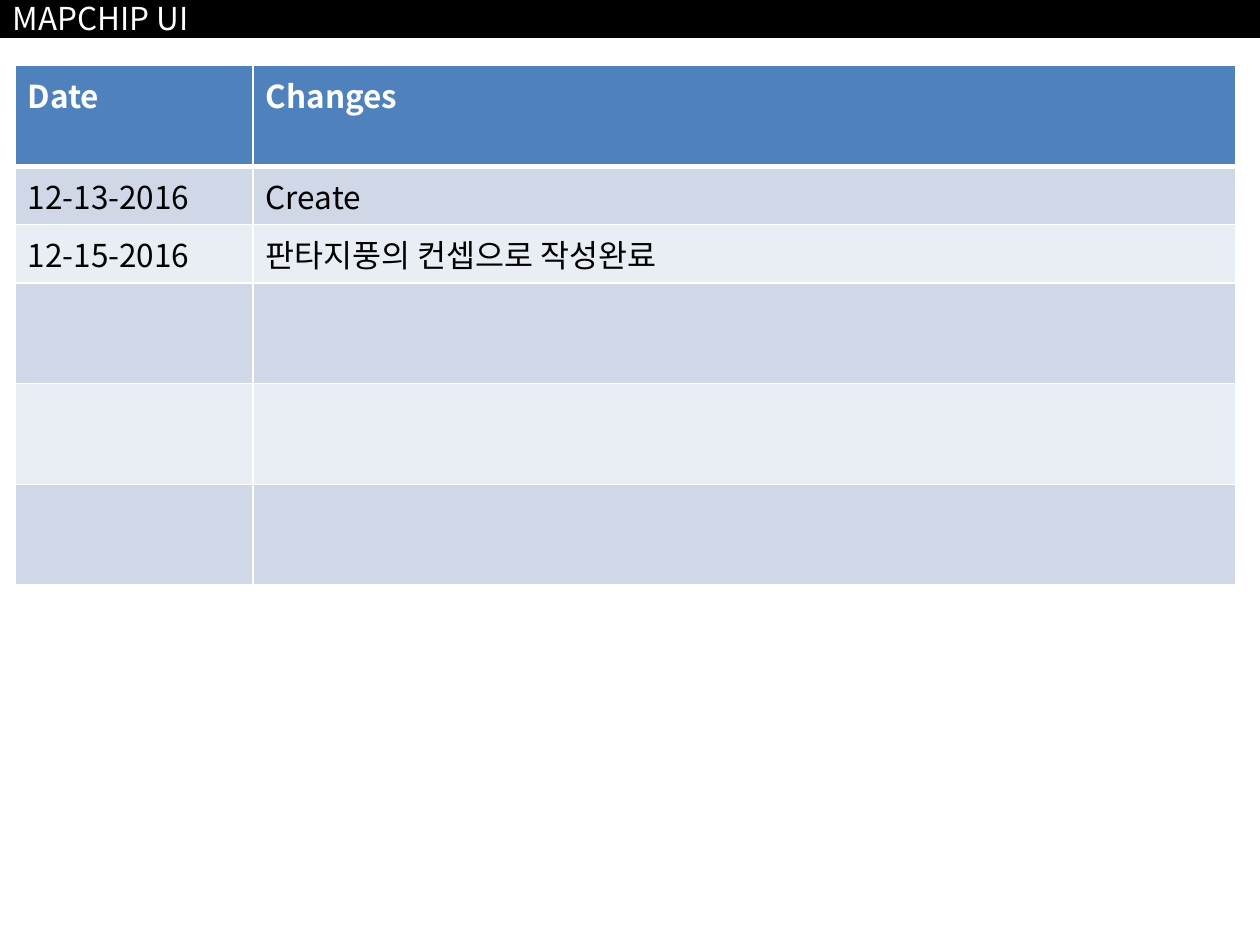
from lxml.etree import SubElement
from pptx import Presentation
from pptx.dml.color import RGBColor
from pptx.enum.text import MSO_ANCHOR, MSO_AUTO_SIZE, PP_ALIGN
from pptx.oxml.ns import qn
from pptx.util import Inches, Pt

FONT = "Noto Sans CJK KR"
BLACK = RGBColor(0x00, 0x00, 0x00)
WHITE = RGBColor(0xFF, 0xFF, 0xFF)
HEADER_BLUE = RGBColor(0x4F, 0x81, 0xBD)
BANDS = [RGBColor(0xD0, 0xD8, 0xE8), RGBColor(0xE9, 0xED, 0xF4)]

COLUMN_WIDTHS = [1.89, 7.8]
ROW_HEIGHTS = [0.8, 0.38, 0.37, 0.8, 0.8, 0.8]
CHANGE_LOG = [
    ("Date", "Changes"),
    ("12-13-2016", "Create"),
    ("12-15-2016", "판타지풍의 컨셉으로 작성완료"),
    ("", ""),
    ("", ""),
    ("", ""),
]


def add_span(para, text, color, bold=False):
    span = para.add_run()
    span.text = text
    span.font.size = Pt(18)
    span.font.name = FONT
    span.font.bold = bold
    span.font.color.rgb = color
    SubElement(span.font._element, qn("a:ea"), typeface=FONT)


def set_borders(cell, bottom_width):
    properties = cell._tc.get_or_add_tcPr()
    widths = {"lnL": 1, "lnR": 1, "lnT": 1, "lnB": bottom_width}
    for side, width in widths.items():
        line = SubElement(properties, qn(f"a:{side}"), w=str(Pt(width)))
        fill = SubElement(line, qn("a:solidFill"))
        SubElement(fill, qn("a:srgbClr"), val=str(WHITE))


def place_title_bar(page, left, top, width, height):
    bar = page.shapes.title
    bar.left, bar.top, bar.width, bar.height = left, top, width, height
    bar.fill.solid()
    bar.fill.fore_color.rgb = BLACK
    bar.line.color.rgb = BLACK
    bar.line.width = Pt(2)
    frame = bar.text_frame
    frame.auto_size = MSO_AUTO_SIZE.NONE
    frame.vertical_anchor = MSO_ANCHOR.MIDDLE
    para = frame.paragraphs[0]
    para.alignment = PP_ALIGN.LEFT
    add_span(para, "MAPCHIP UI", WHITE)


def place_change_table(page, left, top, width, height):
    table = page.shapes.add_table(
        len(ROW_HEIGHTS), len(COLUMN_WIDTHS), left, top, width, height
    ).table
    for column, size in zip(table.columns, COLUMN_WIDTHS):
        column.width = Inches(size)
    for row, size in zip(table.rows, ROW_HEIGHTS):
        row.height = Inches(size)

    for row_number, entries in enumerate(CHANGE_LOG):
        header = row_number == 0
        for column_number, text in enumerate(entries):
            cell = table.cell(row_number, column_number)
            set_borders(cell, bottom_width=3 if header else 1)
            cell.fill.solid()
            cell.fill.fore_color.rgb = (
                HEADER_BLUE if header else BANDS[(row_number - 1) % 2]
            )
            if text:
                para = cell.text_frame.paragraphs[0]
                add_span(para, text, WHITE if header else BLACK, bold=header)


def main():
    deck = Presentation()
    deck.slide_width, deck.slide_height = Inches(10), Inches(7.5)
    page = deck.slides.add_slide(deck.slide_layouts.get_by_name("Title Only"))
    place_title_bar(page, 0, 0, deck.slide_width, Inches(0.29))
    place_change_table(
        page,
        Inches(0.12),
        Inches(0.52),
        Inches(sum(COLUMN_WIDTHS)),
        Inches(sum(ROW_HEIGHTS)),
    )
    deck.save("out.pptx")


if __name__ == "__main__":
    main()
